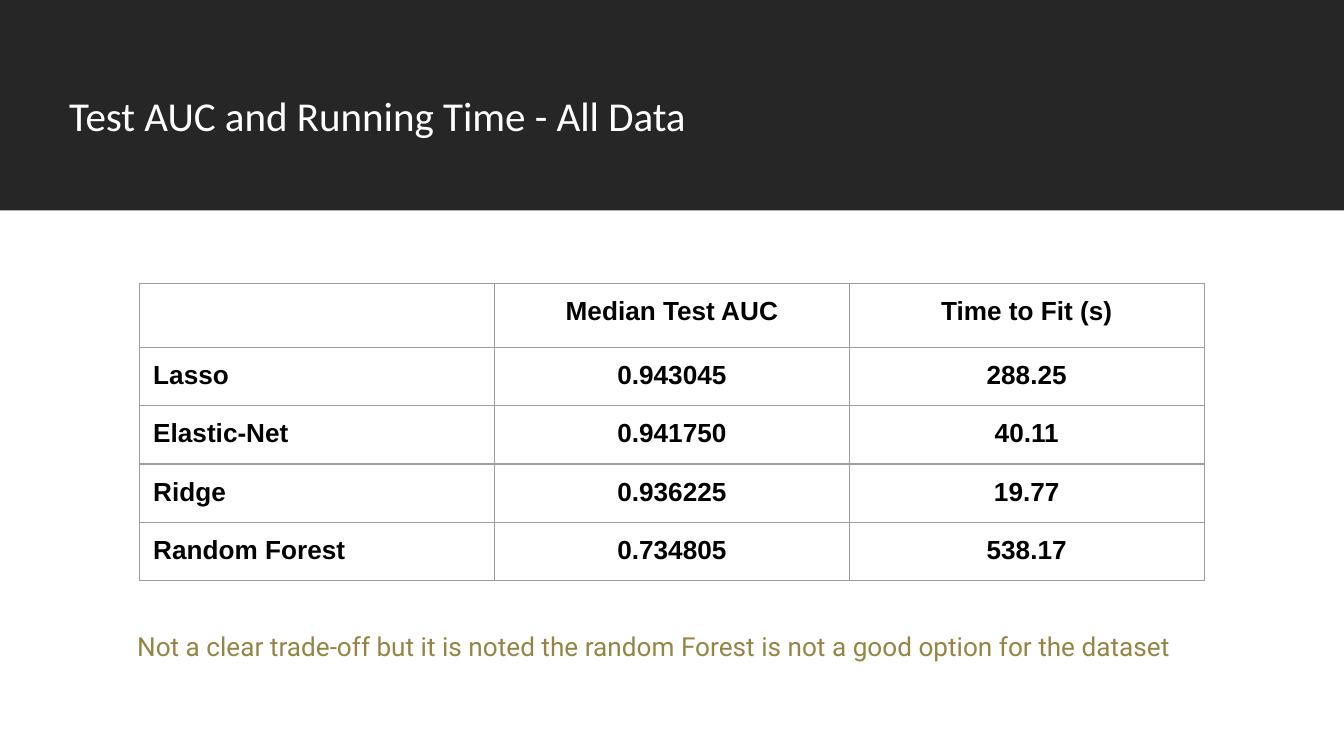
from dataclasses import dataclass

from lxml.etree import SubElement
from pptx import Presentation
from pptx.dml.color import RGBColor as RGB
from pptx.enum.shapes import MSO_SHAPE as Shape
from pptx.enum.text import MSO_ANCHOR as Anchor, PP_ALIGN as Align
from pptx.oxml.ns import qn
from pptx.util import Inches, Pt

MODULE = Inches(10) // 100  # the slide is 100 square modules wide


@dataclass(frozen=True)
class Theme:
    band: RGB = RGB(0x26, 0x26, 0x26)
    title: RGB = RGB(0xFF, 0xFF, 0xFF)
    title_end: RGB = RGB(0x3F, 0x3F, 0x3F)
    note: RGB = RGB(0x95, 0x85, 0x45)
    table: RGB = RGB(0, 0, 0)
    border: str = "9E9E9E"
    border_width: float = 0.75
    title_size: int = 22
    title_end_size: int = 28
    body_size: int = 14


THEME = Theme()
RESULTS = [
    ("", "Median Test AUC", "Time to Fit (s)"),
    ("Lasso", "0.943045", "288.25"),
    ("Elastic-Net", "0.941750", "40.11"),
    ("Ridge", "0.936225", "19.77"),
    ("Random Forest", "0.734805", "538.17"),
]


def modules(*counts):
    return [round(count * MODULE) for count in counts]


def add_run(paragraph, wording, font, size, color, bold=False):
    run = paragraph.add_run()
    run.text = wording
    run.font.name, run.font.size, run.font.bold = font, Pt(size), bold
    run.font.color.rgb = color


def add_line_of_text(slide, box, anchor, spacing, inset):
    """Add a text box and return its only paragraph."""
    frame = slide.shapes.add_textbox(*modules(*box)).text_frame
    frame.word_wrap = True
    frame.vertical_anchor = anchor
    frame.margin_left, frame.margin_right, frame.margin_top, frame.margin_bottom = modules(
        inset, 0.7, 0.4, 0.4)
    paragraph = frame.paragraphs[0]
    paragraph.line_spacing = spacing
    return paragraph


def add_header(slide, box):
    left, top, width, height = box
    band = slide.shapes.add_shape(Shape.RECTANGLE, *modules(*box))
    band.shadow.inherit = False
    band.fill.solid()
    band.fill.fore_color.rgb = THEME.band
    band.line.fill.background()
    title_box = (left + 4.45, top + 4.7, 82.5, 6.3)
    title = add_line_of_text(slide, title_box, Anchor.BOTTOM, 0.9, 0.7)
    add_run(title, "Test AUC and Running Time - All Data", "Calibri",
            THEME.title_size, THEME.title)
    # The taller closing space sets the height of the title line.
    add_run(title, " ", "Roboto Slab", THEME.title_end_size, THEME.title_end)


def add_cell_borders(cell):
    properties = cell._tc.get_or_add_tcPr()
    for position, side in enumerate(("a:lnL", "a:lnR", "a:lnT", "a:lnB")):
        line = SubElement(properties, qn(side), w=str(Pt(THEME.border_width)))
        fill = SubElement(line, qn("a:solidFill"))
        SubElement(fill, qn("a:srgbClr"), val=THEME.border)
        properties.insert(position, line)


def add_results_table(slide, box, header_height):
    left, top, width, height = box
    table = slide.shapes.add_table(len(RESULTS), len(RESULTS[0]), *modules(*box)).table
    table.first_row = table.horz_banding = False
    for column in table.columns:
        column.width = modules(width / len(RESULTS[0]))[0]
    body_height = (height - header_height) / (len(RESULTS) - 1)
    for row_index, record in enumerate(RESULTS):
        table.rows[row_index].height = modules(body_height if row_index else header_height)[0]
        for column_index, wording in enumerate(record):
            cell = table.cell(row_index, column_index)
            cell.fill.background()
            cell.margin_left = cell.margin_right = cell.margin_top = cell.margin_bottom = MODULE
            add_cell_borders(cell)
            paragraph = cell.text_frame.paragraphs[0]
            paragraph.alignment = Align.CENTER if column_index else Align.LEFT
            if wording:
                add_run(paragraph, wording, "Arial", THEME.body_size, THEME.table, bold=True)
            else:  # keeps the empty cell from stretching its row
                SubElement(paragraph._p, qn("a:endParaRPr"), sz=str(THEME.body_size * 100))


def add_takeaway(slide, box):
    note = add_line_of_text(slide, box, Anchor.TOP, 1.1, 1.4)
    add_run(note, "Not a clear trade-off but it is noted the random Forest "
            "is not a good option for the dataset", "Roboto", THEME.body_size, THEME.note)


def main():
    deck = Presentation()
    deck.slide_width, deck.slide_height = modules(100, 56.25)
    slide = deck.slides.add_slide(deck.slide_layouts[6])
    add_header(slide, (0, 0, 100, 15.65))
    add_results_table(slide, (10.4, 21.1, 79.2, 21.5), header_height=4.75)
    add_takeaway(slide, (8.8, 46.3, 82.5, 6.3))
    deck.save("out.pptx")


if __name__ == "__main__":
    main()
